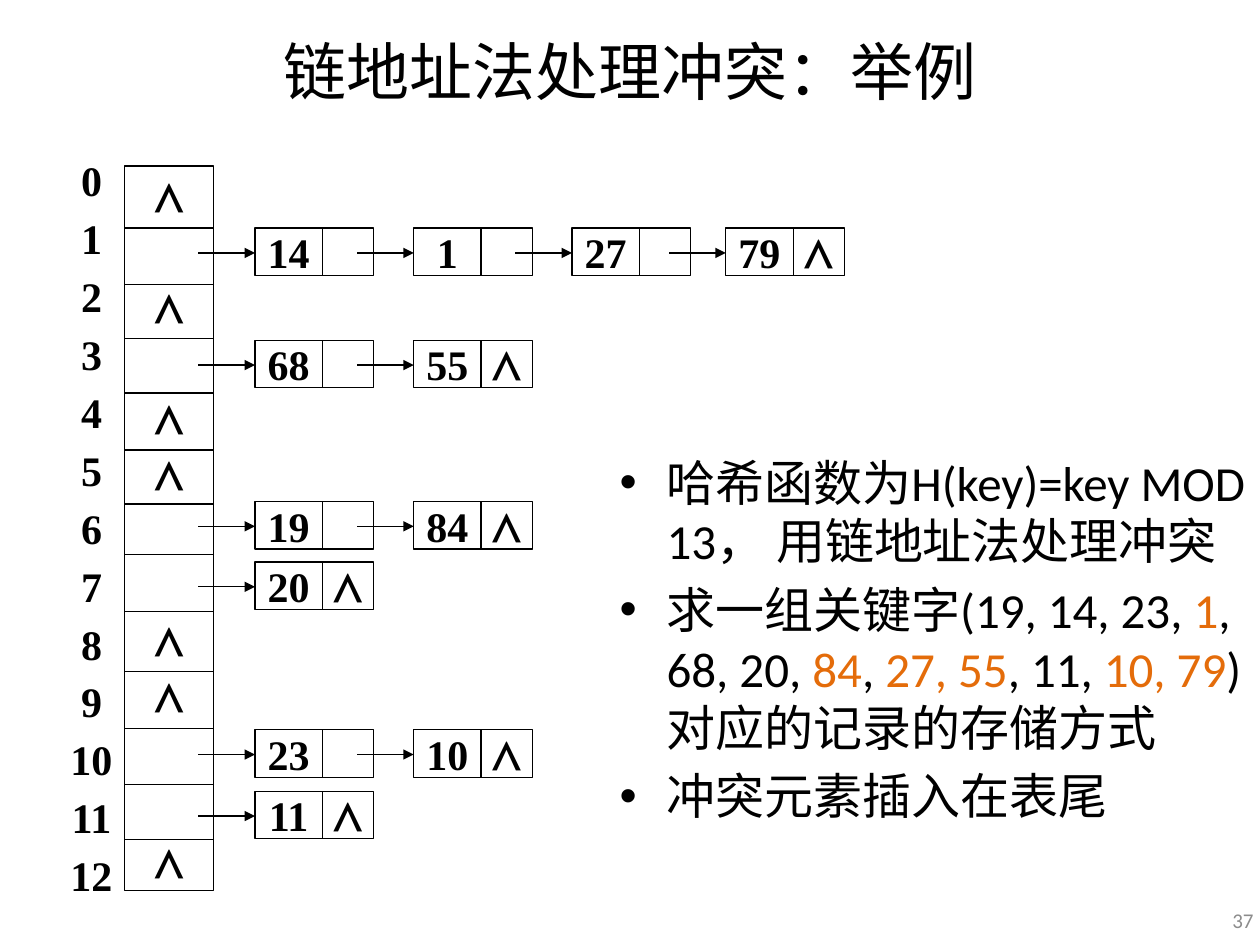
from dataclasses import dataclass

import pptx
import pptx.dml.color
import pptx.enum.shapes
import pptx.enum.text
import pptx.oxml.xmlchemy
import pptx.util
from pptx.util import Cm

BLACK, ORANGE, GREY = "000000", "E46C0A", "8C8C8C"
SERIF, SANS = "Times New Roman", "Calibri"
ALIGN = pptx.enum.text.PP_ALIGN
ANCHOR = pptx.enum.text.MSO_ANCHOR
END_MARK = "⋀"

TABLE_LEFT, TABLE_TOP, TABLE_WIDTH, TABLE_HEIGHT = 2.51, 3.35, 1.8, 14.61
DIVIDERS = (4.6, 5.74, 6.83, 7.92, 9.07, 10.16, 11.18, 12.32, 13.54, 14.68, 15.82, 16.92)
BUCKET_COUNT, BUCKET_PITCH, FIRST_MARK_TOP = 13, 1.12, 3.46
NODE_COLUMNS = (5.14, 8.34, 11.53, 14.63)
NODE_WIDTH, NODE_HEIGHT, KEY_WIDTH = 2.39, 0.96, 1.36
ARROW_LENGTH, ARROW_DROP = 1.14, 0.5


@dataclass
class Chain:
    bucket: int
    top: float
    keys: tuple[int, ...]


CHAINS = [
    Chain(1, 4.6, (14, 1, 27, 79)),
    Chain(3, 6.86, (68, 55)),
    Chain(6, 10.11, (19, 84)),
    Chain(7, 11.33, (20,)),
    Chain(10, 14.71, (23, 10)),
    Chain(11, 15.95, (11,)),
]

POINTS = [
    [("哈希函数为H(key)=key MOD 13， 用链地址法处理冲突", BLACK)],
    [("求一组关键字(19, 14, 23, ", BLACK), ("1", ORANGE), (", 68, 20, ", BLACK),
     ("84", ORANGE), (", ", BLACK), ("27, 55", ORANGE), (", 11, ", BLACK),
     ("10, 79", ORANGE), (") 对应的记录的存储方式", BLACK)],
    [("冲突元素插入在表尾", BLACK)],
]

deck = pptx.Presentation()
deck.slide_width, deck.slide_height = Cm(25.4), Cm(19.05)
slide = deck.slides.add_slide(deck.slide_layouts[6])


def rgb(color: str) -> pptx.dml.color.RGBColor:
    return pptx.dml.color.RGBColor.from_string(color)


def append_element(parent, tag: str, **attributes: str) -> None:
    element = pptx.oxml.xmlchemy.OxmlElement(tag)
    for name, value in attributes.items():
        element.set(name, value)
    parent.append(element)


def style(run, font: str, size: float, color: str, bold: bool = False) -> None:
    run.font.name = font
    run.font.size = pptx.util.Pt(size)
    run.font.bold = bold
    run.font.color.rgb = rgb(color)


def set_insets(frame, inset: float) -> None:
    frame.margin_left = frame.margin_right = Cm(inset)
    frame.margin_top = frame.margin_bottom = Cm(inset)


def add_label(text: str, left: float, top: float, width: float, height: float,
              font: str = SERIF, size: float = 24, color: str = BLACK, bold: bool = True,
              align=ALIGN.CENTER, inset: float = 0, spacing: float = 1.0) -> None:
    frame = slide.shapes.add_textbox(Cm(left), Cm(top), Cm(width), Cm(height)).text_frame
    frame.word_wrap = True
    frame.vertical_anchor = ANCHOR.MIDDLE
    set_insets(frame, inset)
    frame.text = text
    for paragraph in frame.paragraphs:
        paragraph.alignment = align
        paragraph.line_spacing = spacing
        for run in paragraph.runs:
            style(run, font, size, color, bold)


def add_box(left: float, top: float, width: float, height: float):
    box = slide.shapes.add_shape(pptx.enum.shapes.MSO_SHAPE.RECTANGLE,
                                 Cm(left), Cm(top), Cm(width), Cm(height))
    box.shadow.inherit = False
    box.fill.background()
    box.line.color.rgb = rgb(BLACK)
    box.line.width = pptx.util.Pt(0.75)
    return box


def add_line(x1: float, y1: float, x2: float, y2: float, arrow: bool = False) -> None:
    connector = slide.shapes.add_connector(pptx.enum.shapes.MSO_CONNECTOR.STRAIGHT,
                                           Cm(x1), Cm(y1), Cm(x2), Cm(y2))
    connector.line.color.rgb = rgb(BLACK)
    connector.line.width = pptx.util.Pt(0.75)
    if arrow:
        append_element(connector.get_or_add_ln(), "a:tailEnd", type="triangle")
    append_element(connector._element.spPr, "a:effectLst")


def add_node(key: int, left: float, top: float, is_last: bool) -> None:
    frame = add_box(left, top, NODE_WIDTH, NODE_HEIGHT).text_frame
    frame.word_wrap = True
    frame.vertical_anchor = ANCHOR.MIDDLE
    set_insets(frame, 0)
    frame.margin_right = Cm(NODE_WIDTH - KEY_WIDTH)
    frame.text = str(key)
    frame.paragraphs[0].alignment = ALIGN.CENTER
    style(frame.paragraphs[0].runs[0], SERIF, 24, BLACK, True)
    split = left + KEY_WIDTH
    add_line(split, top, split, top + NODE_HEIGHT)
    arrow_y = top + ARROW_DROP
    add_line(left - ARROW_LENGTH, arrow_y, left, arrow_y, arrow=True)
    if is_last:
        add_label(END_MARK, split, top, NODE_WIDTH - KEY_WIDTH, NODE_HEIGHT)


def add_points(left: float, top: float, width: float, height: float) -> None:
    frame = slide.shapes.add_textbox(Cm(left), Cm(top), Cm(width), Cm(height)).text_frame
    frame.word_wrap = True
    for index, pieces in enumerate(POINTS):
        paragraph = frame.add_paragraph() if index else frame.paragraphs[0]
        paragraph.space_before = pptx.util.Pt(5.6)
        properties = paragraph._p.get_or_add_pPr()
        properties.set("marL", str(int(Cm(0.95))))
        properties.set("indent", str(-int(Cm(0.95))))
        append_element(properties, "a:buFont", typeface="Arial")
        append_element(properties, "a:buChar", char="•")
        for text, color in pieces:
            run = paragraph.add_run()
            run.text = text
            style(run, SANS, 28, color)


add_label("链地址法处理冲突：举例", 1.27, 0.13, 22.86, 2.59, size=36, bold=False)

add_label("\n".join(str(bucket) for bucket in range(BUCKET_COUNT)),
          1.2, 3.25, 1.29, TABLE_HEIGHT, spacing=1.15)
add_box(TABLE_LEFT, TABLE_TOP, TABLE_WIDTH, TABLE_HEIGHT)
for divider in DIVIDERS:
    add_line(TABLE_LEFT, divider, TABLE_LEFT + TABLE_WIDTH, divider)

used_buckets = {chain.bucket for chain in CHAINS}
for bucket in range(BUCKET_COUNT):
    if bucket not in used_buckets:
        add_label(END_MARK, TABLE_LEFT, FIRST_MARK_TOP + bucket * BUCKET_PITCH,
                  TABLE_WIDTH, NODE_HEIGHT)

for chain in CHAINS:
    for position, (key, column) in enumerate(zip(chain.keys, NODE_COLUMNS), start=1):
        add_node(key, column, chain.top, position == len(chain.keys))

add_points(12.24, 8.99, 13.18, 7.47)
add_label("37", 24.31, 18.03, 1.09, 1.02, SANS, 12, GREY, False, ALIGN.RIGHT, 0.13)

deck.save("out.pptx")
